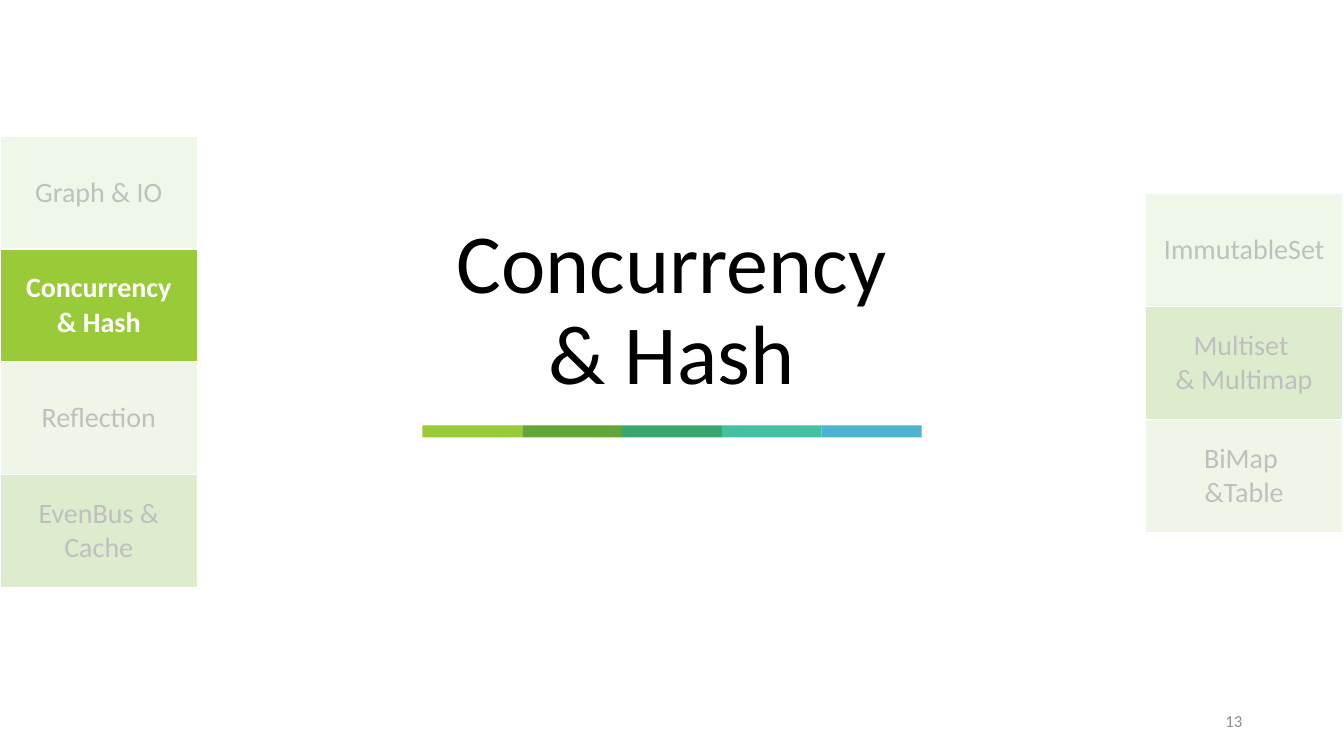
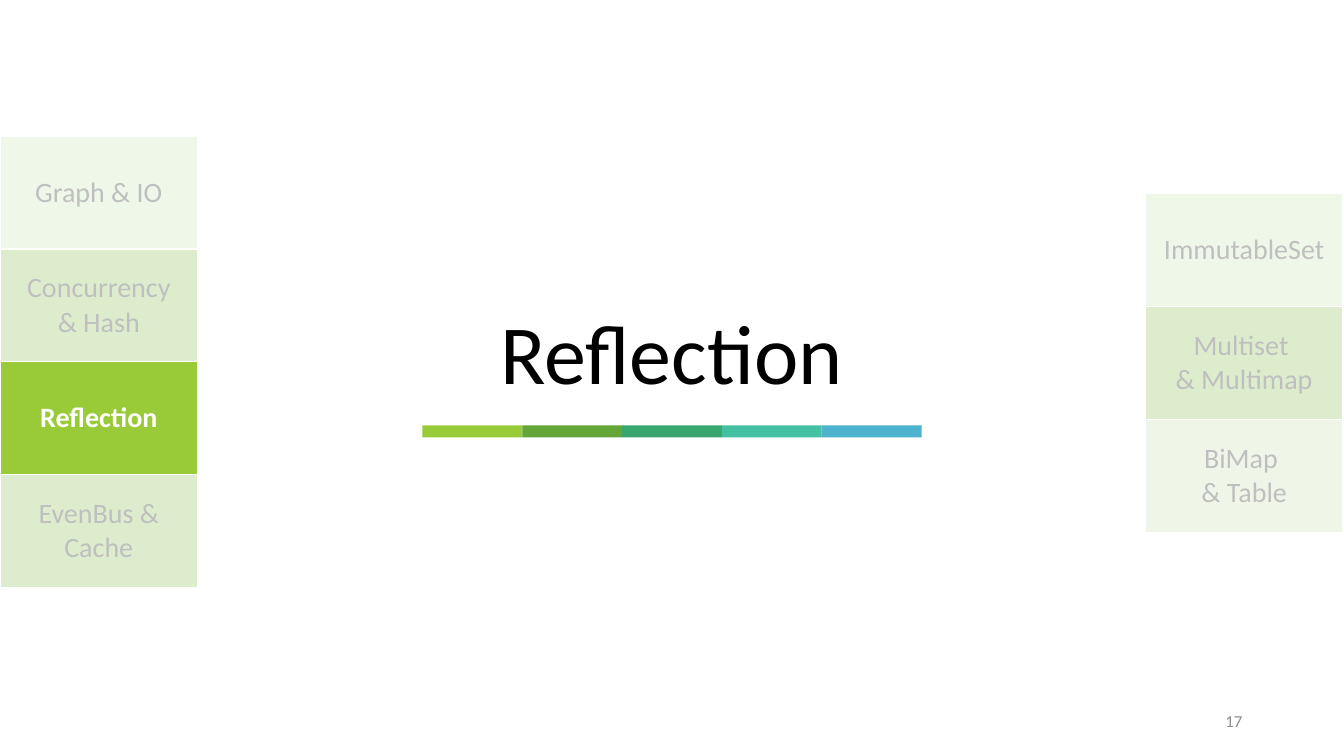
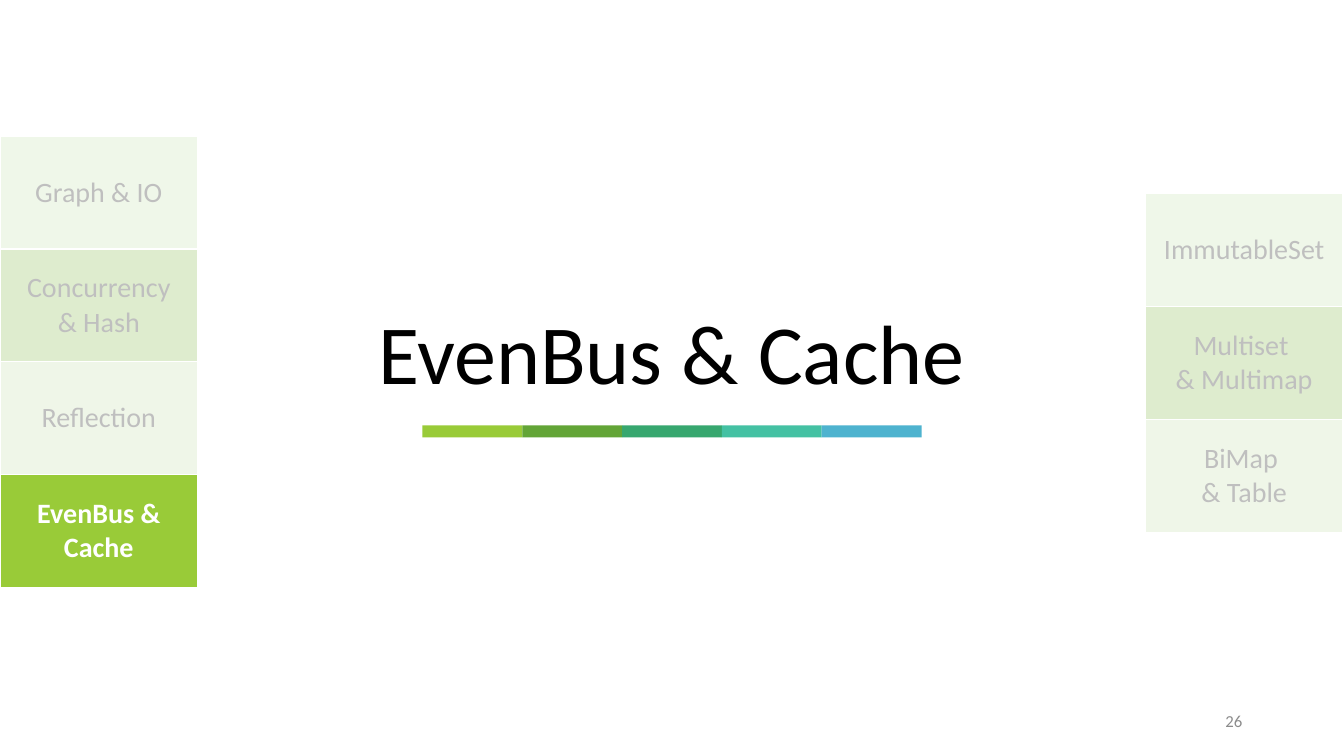
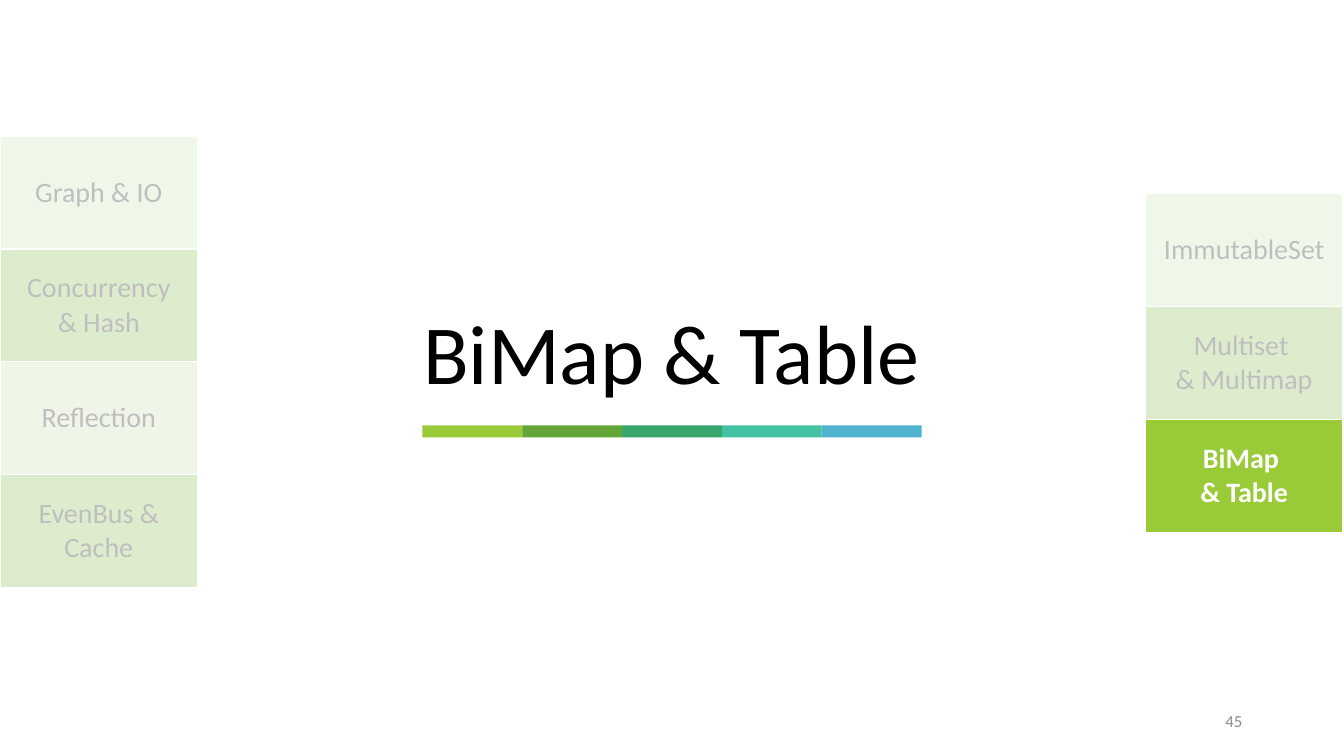
"""Build four section divider slides with agenda tables at both sides."""
from pptx import Presentation
from pptx.dml.color import RGBColor
from pptx.enum.shapes import MSO_SHAPE
from pptx.enum.text import MSO_ANCHOR, PP_ALIGN
from pptx.util import Inches, Pt

FONT = "Calibri"
BLACK, WHITE, MUTED, NUMBER_GRAY = "000000", "FFFFFF", "BFBFBF", "8C8C8C"
HIGHLIGHT = "99CB38"
ROW_FILLS = ["EFF7E9", "DEECCE", "EFF6E8", "DEECCE"]
BAR_COLORS = [HIGHLIGHT, "63A537", "37A76F", "44C1A3", "4EB3CF"]

LEFT_TOPICS = ["Graph & IO", "Concurrency\v& Hash", "Reflection", "EvenBus & Cache"]
RIGHT_TOPICS = ["ImmutableSet", "Multiset \v& Multimap", "BiMap \n& Table"]
TIGHT_RIGHT_TOPICS = RIGHT_TOPICS[:2] + ["BiMap \n&Table"]

SECTIONS = [
    {"title": "Concurrency\v& Hash", "active": LEFT_TOPICS[1],
     "right": TIGHT_RIGHT_TOPICS, "number": "13"},
    {"title": "Reflection", "active": LEFT_TOPICS[2],
     "right": RIGHT_TOPICS, "number": "17"},
    {"title": "EvenBus & Cache", "active": LEFT_TOPICS[3],
     "right": RIGHT_TOPICS, "number": "26"},
    {"title": "BiMap & Table", "active": RIGHT_TOPICS[2],
     "right": RIGHT_TOPICS, "number": "45"},
]

COLUMN_WIDTH, ROW_HEIGHT = 1.96, 1.12
LEFT_TABLE_AT = (0, 1.35)
RIGHT_TABLE_AT = (11.36, 1.92)
BAR_LEFT, BAR_TOP, BAR_WIDTH, BAR_HEIGHT = 4.19, 4.22, 0.99, 0.12


def color(value):
    """Turn a hex string into a colour."""
    return RGBColor.from_string(value)


def set_fill(target, value):
    """Give a shape or cell a solid fill."""
    target.fill.solid()
    target.fill.fore_color.rgb = color(value)


def write(frame, text, size, text_color, align=PP_ALIGN.CENTER, bold=False):
    """Fill a text frame and format all its runs."""
    frame.text = text
    for paragraph in frame.paragraphs:
        paragraph.alignment = align
        for run in paragraph.runs:
            run.font.name = FONT
            run.font.size = Pt(size)
            run.font.bold = bold
            run.font.color.rgb = color(text_color)


def add_title(slide, text):
    """Place the section title above the colour bar."""
    title = slide.shapes.title
    title.left, title.top = Inches(0.91), Inches(1.87)
    title.width, title.height = Inches(11.5), Inches(3.12)
    frame = title.text_frame
    write(frame, text, 60, BLACK)
    frame.vertical_anchor = MSO_ANCHOR.BOTTOM
    frame.margin_bottom = Inches(1)
    frame.paragraphs[0].line_spacing = 0.9


def add_topics(slide, topics, position, active):
    """Add a one-column agenda table with the active topic highlighted."""
    left, top = position
    table = slide.shapes.add_table(
        len(topics), 1, Inches(left), Inches(top),
        Inches(COLUMN_WIDTH), Inches(ROW_HEIGHT * len(topics))).table
    for index, (topic, fill) in enumerate(zip(topics, ROW_FILLS)):
        is_active = topic == active
        cell = table.cell(index, 0)
        cell.vertical_anchor = MSO_ANCHOR.MIDDLE
        set_fill(cell, HIGHLIGHT if is_active else fill)
        write(cell.text_frame, topic, 20, WHITE if is_active else MUTED, bold=is_active)


def add_color_bar(slide):
    """Add the grouped bar of adjoining colour segments."""
    group = slide.shapes.add_group_shape()
    for index, segment_color in enumerate(BAR_COLORS):
        segment = group.shapes.add_shape(
            MSO_SHAPE.RECTANGLE, Inches(BAR_LEFT + index * BAR_WIDTH),
            Inches(BAR_TOP), Inches(BAR_WIDTH), Inches(BAR_HEIGHT))
        segment.shadow.inherit = False
        set_fill(segment, segment_color)
        segment.line.fill.background()


def add_number(slide, number):
    """Add the slide number at the bottom right."""
    box = slide.shapes.add_textbox(Inches(9.42), Inches(6.95), Inches(3), Inches(0.4))
    frame = box.text_frame
    frame.word_wrap = True
    frame.vertical_anchor = MSO_ANCHOR.MIDDLE
    write(frame, number, 12, NUMBER_GRAY, PP_ALIGN.RIGHT)


def main():
    """Create and save the presentation."""
    presentation = Presentation()
    presentation.slide_width, presentation.slide_height = Inches(13.33), Inches(7.5)
    for section in SECTIONS:
        slide = presentation.slides.add_slide(presentation.slide_layouts[5])
        add_title(slide, section["title"])
        add_topics(slide, section["right"], RIGHT_TABLE_AT, section["active"])
        add_topics(slide, LEFT_TOPICS, LEFT_TABLE_AT, section["active"])
        add_color_bar(slide)
        add_number(slide, section["number"])
    presentation.save("out.pptx")


if __name__ == "__main__":
    main()
